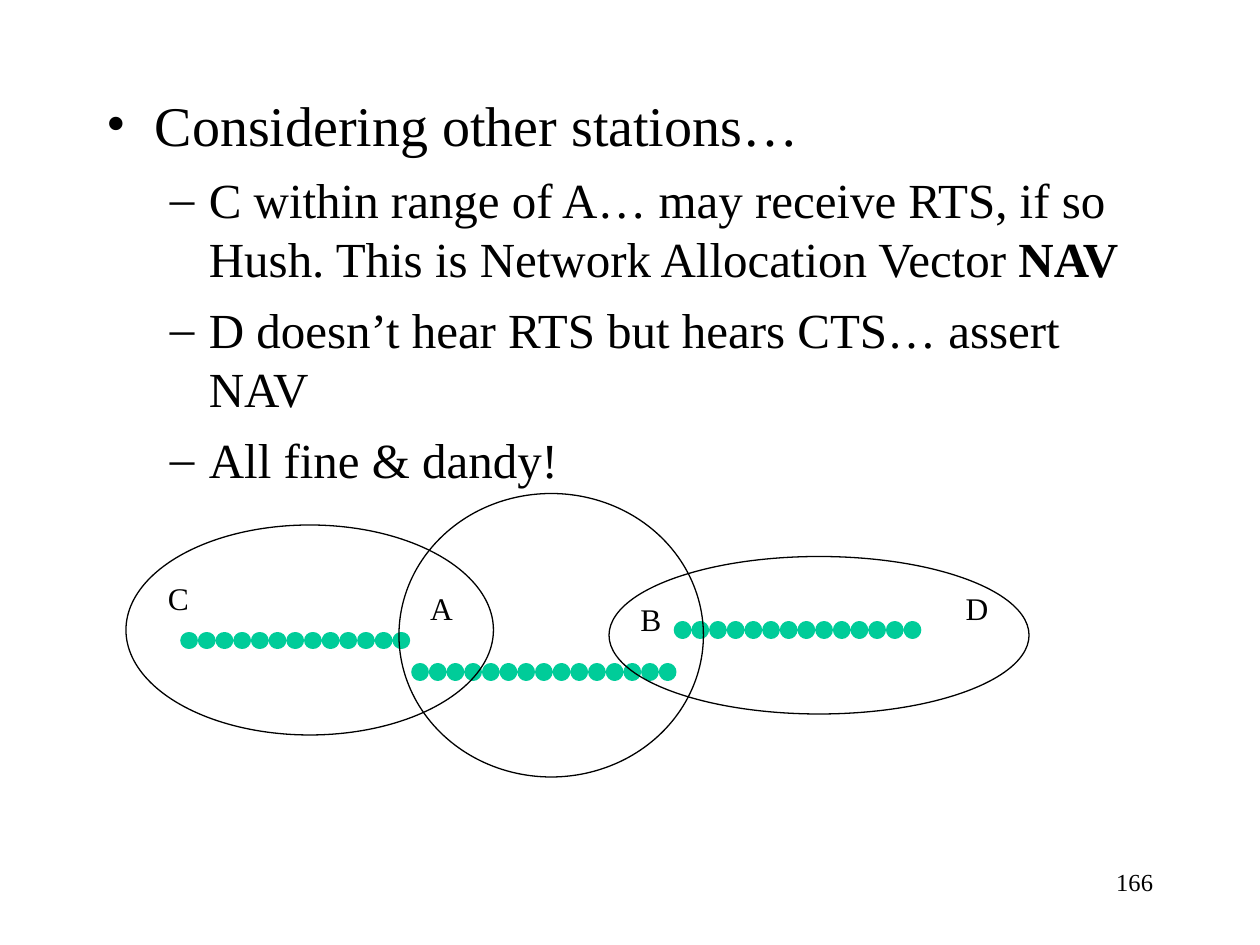
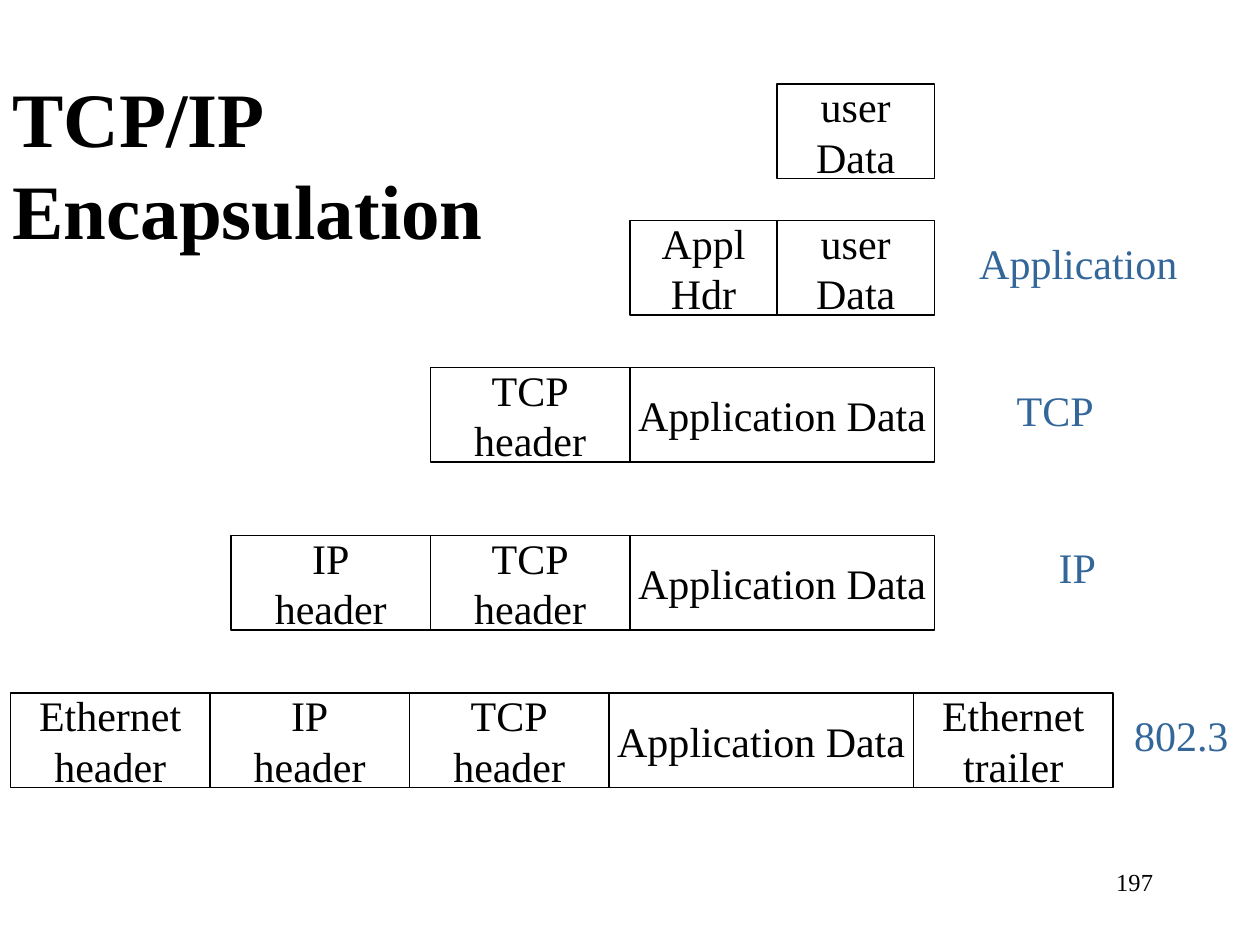
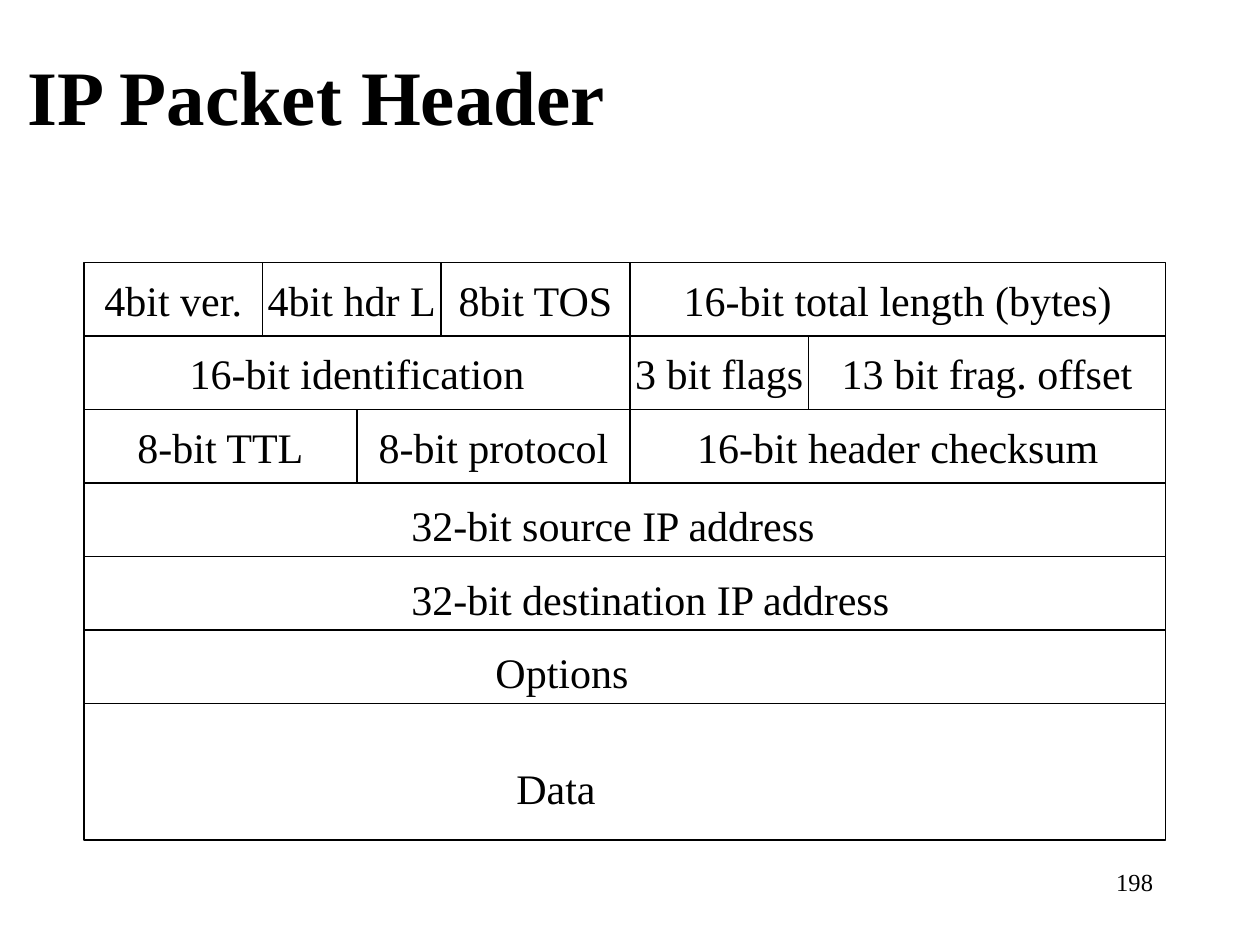
from dataclasses import dataclass

import lxml.etree
import pptx
import pptx.dml.color
import pptx.enum.shapes
import pptx.enum.text
import pptx.oxml.ns
import pptx.presentation
import pptx.shapes.autoshape
import pptx.slide
import pptx.text.text
import pptx.util

# All places and sizes count columns and rows of a grid of twelfths of an inch.
CELL = pptx.util.Inches(1) // 12
COLUMNS, ROWS = 120, 90

BLACK = pptx.dml.color.RGBColor(0x00, 0x00, 0x00)
WHITE = pptx.dml.color.RGBColor(0xFF, 0xFF, 0xFF)
GREEN = pptx.dml.color.RGBColor(0x00, 0xCC, 0x99)
BLUE = pptx.dml.color.RGBColor(0x33, 0x66, 0x99)

FONT = "Times New Roman"
TITLE_SIZE, DIAGRAM_SIZE, STATION_SIZE, NUMBER_SIZE = 44, 24, 18, 14
OUTLINE = 0.75

ALIGN = pptx.enum.text.PP_ALIGN
ANCHOR = pptx.enum.text.MSO_ANCHOR
SHAPE = pptx.enum.shapes.MSO_SHAPE


@dataclass(frozen=True)
class Area:
    column: float
    row: float
    width: float
    height: float

    def lengths(self) -> list[int]:
        return [grid(n) for n in (self.column, self.row, self.width, self.height)]


@dataclass(frozen=True)
class Label:
    text: str
    area: Area


@dataclass(frozen=True)
class Field:
    text: str
    width: float


@dataclass(frozen=True)
class Layer:
    """A packet as one network layer sees it."""
    column: float
    row: float
    fields: list[Field]


@dataclass(frozen=True)
class DottedLink:
    start: float
    end: float
    row: float


@dataclass(frozen=True)
class BulletStyle:
    mark: str
    size: int
    margin: float
    hanging: float
    space_before: int


@dataclass(frozen=True)
class BulletItem:
    level: int
    text: str
    bold_ending: str = ""


BULLET_STYLES = [
    BulletStyle("•", 32, 0.38, 0.38, 8),
    BulletStyle("–", 28, 0.81, 0.31, 7),
]

STATION_ITEMS = [
    BulletItem(0, "Considering other stations…"),
    BulletItem(1, "C within range of A… may receive RTS, if so Hush. "
                  "This is Network Allocation Vector ", "NAV"),
    BulletItem(1, "D doesn’t hear RTS but hears CTS… assert NAV"),
    BulletItem(1, "All fine & dandy!"),
]
LINKS = [DottedLink(18, 39, 61), DottedLink(40, 64, 64), DottedLink(65, 87, 60)]
STATIONS = [
    Label("C", Area(14.8, 54.55, 4.6, 4.8)),
    Label("A", Area(39.8, 55.5, 4.6, 4.8)),
    Label("B", Area(59.8, 56.55, 4.6, 4.8)),
    Label("D", Area(90.8, 55.5, 4.6, 4.8)),
]
RANGES = [Area(12, 50, 35, 20), Area(58, 53, 40, 15), Area(38, 47, 29, 27)]

USER_DATA = Field("user\nData", 15)
APPLICATION_HEADER = Field("Appl\nHdr", 14)
APPLICATION_DATA = Field("Application Data", 29)
TCP_HEADER = Field("TCP\nheader", 19)
IP_HEADER = Field("IP\nheader", 19)
ETHERNET_HEADER = Field("Ethernet\nheader", 19)
ETHERNET_TRAILER = Field("Ethernet\ntrailer", 19)
LAYER_HEIGHT = 9
LAYERS = [
    Layer(1, 66, [ETHERNET_HEADER, IP_HEADER, TCP_HEADER, APPLICATION_DATA,
                  ETHERNET_TRAILER]),
    Layer(22, 51, [IP_HEADER, TCP_HEADER, APPLICATION_DATA]),
    Layer(41, 35, [TCP_HEADER, APPLICATION_DATA]),
    Layer(60, 21, [APPLICATION_HEADER, USER_DATA]),
    Layer(74, 8, [USER_DATA]),
]
LAYER_NAMES = [
    Label("Application", Area(89, 22, 27.4, 6.8)),
    Label("TCP", Area(95, 36, 11, 6.8)),
    Label("IP", Area(99.1, 51, 7, 6.8)),
    Label("802.3", Area(106.5, 67, 12, 6.8)),
]

HEADER_COLUMN, HEADER_ROW, HEADER_WIDTH = 8, 25, 103
WORD_HEIGHT, DATA_HEIGHT = 7, 13
FULL_WORD = [Field("", HEADER_WIDTH)]
HEADER_WORDS = [
    [Field("4bit ver.", 17), Field("4bit hdr L", 17), Field("8bit TOS", 18),
     Field("16-bit total length (bytes)", 51)],
    [Field("16-bit identification", 52), Field("3 bit flags", 17),
     Field("13 bit frag. offset", 34)],
    [Field("8-bit TTL", 26), Field("8-bit protocol", 26),
     Field("16-bit header checksum", 51)],
    FULL_WORD, FULL_WORD, FULL_WORD,
]
FULL_WORD_LABELS = [
    Label("32-bit source IP address", Area(38, 47, 42, 6)),
    Label("32-bit destination IP address", Area(38, 54, 49, 6)),
    Label("Options", Area(46, 61, 16, 6)),
    Label("Data", Area(48, 72, 11, 6)),
]


def grid(count: float) -> int:
    return round(count * CELL)


def style_font(font: pptx.text.text.Font, size: float,
               color: pptx.dml.color.RGBColor = BLACK, bold: bool = False) -> None:
    font.name = FONT
    font.size = pptx.util.Pt(size)
    font.bold = bold
    font.color.rgb = color


def write(frame: pptx.text.text.TextFrame, text: str, size: float,
          color: pptx.dml.color.RGBColor = BLACK, bold: bool = False,
          align: ALIGN = ALIGN.LEFT) -> None:
    frame.text = text
    for paragraph in frame.paragraphs:
        paragraph.alignment = align
        for span in paragraph.runs:
            style_font(span.font, size, color, bold)


def add_text(page: pptx.slide.Slide, area: Area, wrap: bool) -> pptx.text.text.TextFrame:
    frame = page.shapes.add_textbox(*area.lengths()).text_frame
    frame.word_wrap = wrap
    return frame


def add_label(page: pptx.slide.Slide, label: Label, size: float) -> None:
    frame = add_text(page, label.area, wrap=False)
    frame.auto_size = pptx.enum.text.MSO_AUTO_SIZE.SHAPE_TO_FIT_TEXT
    write(frame, label.text, size)


def add_layer_name(page: pptx.slide.Slide, name: Label) -> None:
    frame = add_text(page, name.area, wrap=False)
    write(frame, name.text, DIAGRAM_SIZE, BLUE, align=ALIGN.CENTER)


def add_title(page: pptx.slide.Slide, title: Label) -> None:
    frame = add_text(page, title.area, wrap=True)
    frame.vertical_anchor = ANCHOR.MIDDLE
    write(frame, title.text, TITLE_SIZE, bold=True)


def add_page(deck: pptx.presentation.Presentation, number: int) -> pptx.slide.Slide:
    page = deck.slides.add_slide(deck.slide_layouts[6])
    frame = add_text(page, Area(86, 82, 25, 6), wrap=True)
    write(frame, str(number), NUMBER_SIZE, align=ALIGN.RIGHT)
    return page


def add_outline(page: pptx.slide.Slide, kind: SHAPE,
                area: Area) -> pptx.shapes.autoshape.Shape:
    shape = page.shapes.add_shape(kind, *area.lengths())
    shape.shadow.inherit = False
    shape.fill.background()
    shape.line.color.rgb = BLACK
    shape.line.width = pptx.util.Pt(OUTLINE)
    return shape


def add_fields(page: pptx.slide.Slide, column: float, row: float, height: float,
               fields: list[Field]) -> None:
    """Draw fields side by side, each starting where the last one ends."""
    for field in fields:
        box = add_outline(page, SHAPE.RECTANGLE, Area(column, row, field.width, height))
        box.fill.solid()
        box.fill.fore_color.rgb = WHITE
        if field.text:
            box.text_frame.word_wrap = False
            box.text_frame.vertical_anchor = ANCHOR.MIDDLE
            write(box.text_frame, field.text, DIAGRAM_SIZE, align=ALIGN.CENTER)
        column += field.width


def add_child(parent: lxml.etree._Element, tag: str, **attributes: str) -> lxml.etree._Element:
    return lxml.etree.SubElement(parent, pptx.oxml.ns.qn(tag), attributes)


def add_link(page: pptx.slide.Slide, link: DottedLink) -> None:
    row = grid(link.row)
    connector = page.shapes.add_connector(
        pptx.enum.shapes.MSO_CONNECTOR.STRAIGHT, grid(link.start), row, grid(link.end), row)
    connector.line.color.rgb = GREEN
    connector.line.width = pptx.util.Pt(10)
    line = connector.line._get_or_add_ln()
    line.set("cap", "rnd")
    dashes = add_child(line, "a:custDash")
    add_child(dashes, "a:ds", d="1000", sp="100000")
    add_child(connector._element.spPr, "a:effectLst")


def add_bullet(paragraph: pptx.text.text._Paragraph, style: BulletStyle) -> None:
    properties = paragraph._p.get_or_add_pPr()
    properties.set("marL", str(pptx.util.Inches(style.margin)))
    properties.set("indent", str(-pptx.util.Inches(style.hanging)))
    color = add_child(properties, "a:buClr")
    add_child(color, "a:srgbClr", val=str(BLACK))
    add_child(properties, "a:buFont", typeface=FONT)
    add_child(properties, "a:buChar", char=style.mark)


def add_bullet_list(page: pptx.slide.Slide, area: Area, items: list[BulletItem]) -> None:
    frame = add_text(page, area, wrap=True)
    for index, item in enumerate(items):
        style = BULLET_STYLES[item.level]
        paragraph = frame.add_paragraph() if index else frame.paragraphs[0]
        paragraph.text = item.text
        paragraph.level = item.level
        add_bullet(paragraph, style)
        if index:
            paragraph.space_before = pptx.util.Pt(style.space_before)
        style_font(paragraph.runs[0].font, style.size)
        if item.bold_ending:
            span = paragraph.add_run()
            span.text = item.bold_ending
            style_font(span.font, style.size, bold=True)


def build_stations(deck: pptx.presentation.Presentation) -> None:
    page = add_page(deck, 166)
    add_bullet_list(page, Area(9, 8, 102, 72), STATION_ITEMS)
    for link in LINKS:
        add_link(page, link)
    for station in STATIONS:
        add_label(page, station, STATION_SIZE)
    for area in RANGES:
        add_outline(page, SHAPE.OVAL, area)


def build_encapsulation(deck: pptx.presentation.Presentation) -> None:
    page = add_page(deck, 197)
    add_title(page, Label("TCP/IP Encapsulation", Area(0, 10, 68, 11)))
    for layer in LAYERS:
        add_fields(page, layer.column, layer.row, LAYER_HEIGHT, layer.fields)
    for name in LAYER_NAMES:
        add_layer_name(page, name)


def build_packet_header(deck: pptx.presentation.Presentation) -> None:
    page = add_page(deck, 198)
    add_title(page, Label("IP Packet Header", Area(1.45, 1.5, 102, 15)))
    for index, fields in enumerate(HEADER_WORDS):
        add_fields(page, HEADER_COLUMN, HEADER_ROW + index * WORD_HEIGHT, WORD_HEIGHT, fields)
    data_row = HEADER_ROW + len(HEADER_WORDS) * WORD_HEIGHT
    add_fields(page, HEADER_COLUMN, data_row, DATA_HEIGHT, FULL_WORD)
    for label in FULL_WORD_LABELS:
        add_label(page, label, DIAGRAM_SIZE)


def main() -> None:
    deck = pptx.Presentation()
    deck.slide_width, deck.slide_height = grid(COLUMNS), grid(ROWS)
    build_stations(deck)
    build_encapsulation(deck)
    build_packet_header(deck)
    deck.save("out.pptx")


if __name__ == "__main__":
    main()
